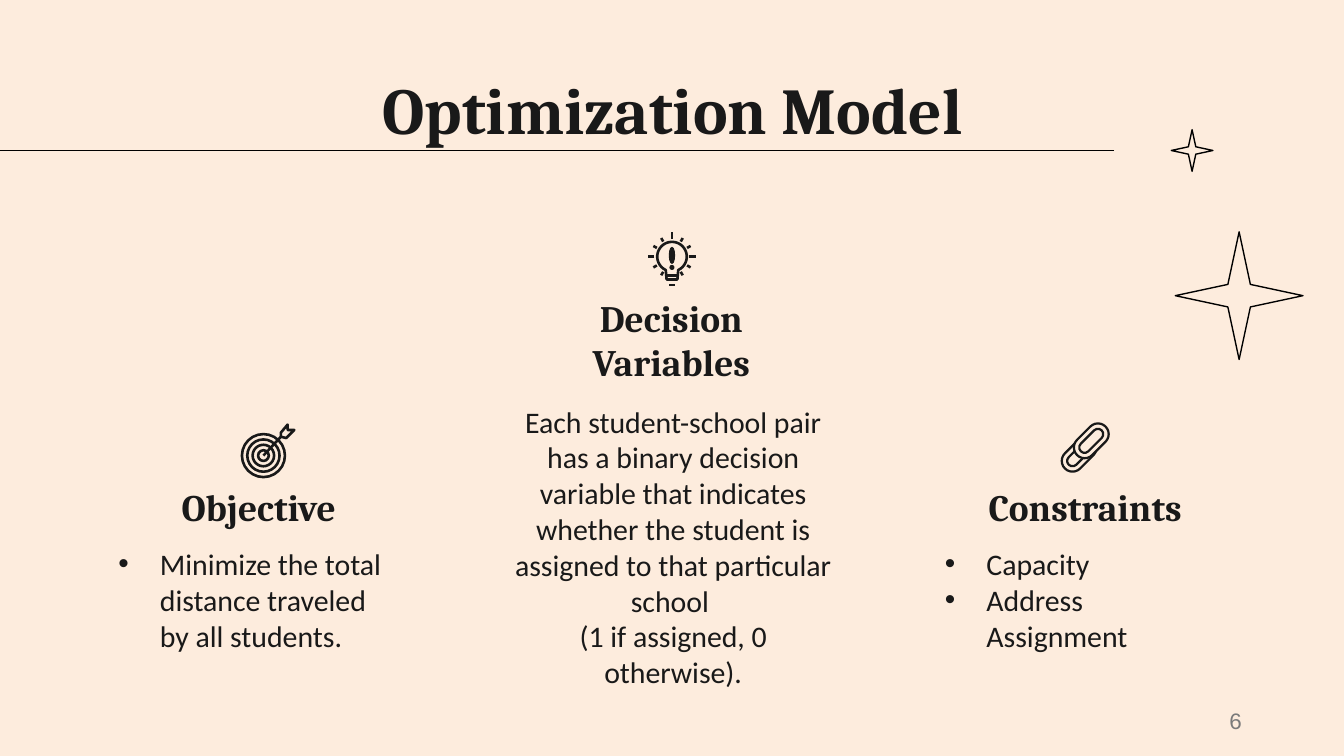
"""Build the Optimization Model slide with three columns, icons and stars."""
from math import cos, radians, sin

from lxml import etree
from pptx import Presentation
from pptx.dml.color import RGBColor
from pptx.enum.shapes import MSO_CONNECTOR, MSO_SHAPE
from pptx.enum.text import MSO_ANCHOR, MSO_AUTO_SIZE, PP_ALIGN
from pptx.oxml.ns import qn
from pptx.util import Inches, Pt

OVAL, PILL, STAR = MSO_SHAPE.OVAL, MSO_SHAPE.ROUNDED_RECTANGLE, MSO_SHAPE.STAR_4_POINT
STRAIGHT = MSO_CONNECTOR.STRAIGHT
TOP, MIDDLE, BOTTOM = MSO_ANCHOR.TOP, MSO_ANCHOR.MIDDLE, MSO_ANCHOR.BOTTOM
LEFT, CENTER, RIGHT = PP_ALIGN.LEFT, PP_ALIGN.CENTER, PP_ALIGN.RIGHT
INK, BLACK, GRAY, CREAM = "191919", "000000", "7A7A7A", "FDECDD"


def color(value):
    """Turn a hex string into a colour."""
    return RGBColor.from_string(value)


def write(box, place, lines, font, size, ink=INK, bold=False, align=CENTER, anchor=TOP, bullet=False):
    """Place a box and fill it with formatted paragraphs."""
    box.left, box.top, box.width, box.height = [Inches(length) for length in place]
    frame = box.text_frame
    frame.auto_size = MSO_AUTO_SIZE.NONE
    frame.word_wrap = True
    frame.vertical_anchor = anchor
    frame.margin_left = frame.margin_right = Inches(0.1)
    frame.margin_top = frame.margin_bottom = Inches(0.1)
    frame.text = "\n".join(lines)
    for para in frame.paragraphs:
        para.alignment = align
        para.space_before = Pt(0)
        para.font.name, para.font.size, para.font.bold = font, Pt(size), bold
        para.font.color.rgb = color(ink)
        if bullet:
            properties = para._p.get_or_add_pPr()
            properties.set("marL", str(Inches(0.31)))
            properties.set("indent", str(-Inches(0.31)))
            mark = etree.Element(qn("a:buChar"), char="•")
            properties.insert_element_before(mark, "a:tabLst", "a:defRPr", "a:extLst")


deck = Presentation()
deck.slide_width = Inches(10)
deck.slide_height = deck.slide_width * 9 // 16
page = deck.slides.add_slide(deck.slide_layouts[4])
page.background.fill.solid()
page.background.fill.fore_color.rgb = color(CREAM)
shapes = page.shapes
slots = page.placeholders

write(shapes.title, (0.79, 0.49, 8.43, 0.63), ["Optimization Model"], "Cambria", 35, bold=True, anchor=MIDDLE)

columns = [
    (slots[1], (0.78, 3.63, 2.29, 0.41), "Objective",
     slots[2], (0.78, 3.96, 2.29, 0.95), ["Minimize the total distance traveled by all students."], True),
    (shapes.add_textbox(0, 0, 0, 0), (3.85, 2.55, 2.29, 0.41), "Decision Variables",
     shapes.add_textbox(0, 0, 0, 0), (3.73, 2.9, 2.56, 2.12),
     ["Each student-school pair has a binary decision variable that indicates "
      "whether the student is assigned to that particular school ",
      "(1 if assigned, 0 otherwise)."], False),
    (slots[3], (6.93, 3.63, 2.29, 0.41), "Constraints",
     slots[4], (6.93, 3.96, 2.29, 0.95), ["Capacity", "Address Assignment"], True),
]
for heading, heading_place, name, body, body_place, lines, bulleted in columns:
    write(heading, heading_place, [name], "Cambria", 20, bold=True, anchor=BOTTOM)
    write(body, body_place, lines, "Calibri", 16, align=LEFT if bulleted else CENTER, bullet=bulleted)

number = shapes.add_textbox(0, 0, 0, 0)
write(number, (9.06, 5.21, 0.26, 0.3), ["6"], "Arial", 12, ink=GRAY, align=RIGHT, anchor=MIDDLE)
number.text_frame.margin_left, number.text_frame.margin_right = 0, Inches(0.08)

strokes = [(8.29, 1.12, 0, 1.12, BLACK, 0.75),
           (4.96, 2.05, 5.04, 2.05, INK, 1.2),
           (4.98, 2.12, 5.02, 2.12, INK, 1.4),
           (1.96, 3.39, 2.09, 3.25, INK, 1.4)]
for angle in range(0, 360, 30):
    if angle != 90:
        reach = 0.18 if angle % 90 == 0 else 0.16
        across, down = cos(radians(angle)), sin(radians(angle))
        strokes.append((5 + 0.13 * across, 1.91 + 0.13 * down,
                        5 + reach * across, 1.91 + reach * down, INK, 1.4))
for x1, y1, x2, y2, ink, width in strokes:
    stroke = shapes.add_connector(STRAIGHT, Inches(x1), Inches(y1), Inches(x2), Inches(y2))
    stroke.line.color.rgb = color(ink)
    stroke.line.width = Pt(width)
    etree.SubElement(stroke._element.spPr, qn("a:effectLst"))

bulb = [(5 + 0.11 * cos(radians(angle)), 1.91 + 0.11 * sin(radians(angle)))
        for angle in range(115, 426, 10)] + [(5.04, 2.08), (4.96, 2.08)]
feathers = [(2.09, 3.25), (2.09, 3.22), (2.14, 3.16), (2.14, 3.2), (2.19, 3.2), (2.13, 3.26)]
for points in (bulb, feathers):
    builder = shapes.build_freeform(*[Inches(length) for length in points[0]])
    builder.add_line_segments([(Inches(x), Inches(y)) for x, y in points[1:]])
    outline = builder.convert_to_shape()
    outline.shadow.inherit = False
    outline.fill.background()
    outline.line.color.rgb = color(INK)
    outline.line.width = Pt(1.4)

figures = [(STAR, 9.22, 2.2, 0.95, 0.95, 0.125, 0, None, BLACK, 0.75),
           (STAR, 8.87, 1.12, 0.31, 0.31, 0.125, 0, None, BLACK, 0.75),
           (OVAL, 5, 1.9, 0.04, 0.12, None, 0, INK, INK, 0.5),
           (OVAL, 5, 1.99, 0.03, 0.03, None, 0, INK, INK, 0.5)]
for radius in (0.04, 0.08, 0.12, 0.16):
    figures.append((OVAL, 1.96, 3.39, 2 * radius, 2 * radius, None, 0, None, INK, 1.4))
for x, y in ((8.03, 3.38), (8.12, 3.28)):
    for length, height, fill in ((0.3, 0.16, CREAM), (0.22, 0.08, None)):
        figures.append((PILL, x, y, length, height, 0.5, -45, fill, INK, 1.2))
for kind, x, y, width, height, adjustment, turn, fill, ink, weight in figures:
    figure = shapes.add_shape(kind, Inches(x - width / 2), Inches(y - height / 2), Inches(width), Inches(height))
    figure.shadow.inherit = False
    figure.rotation = turn
    if adjustment:
        figure.adjustments[0] = adjustment
    if fill:
        figure.fill.solid()
        figure.fill.fore_color.rgb = color(fill)
    else:
        figure.fill.background()
    figure.line.color.rgb = color(ink)
    figure.line.width = Pt(weight)

deck.save("out.pptx")
